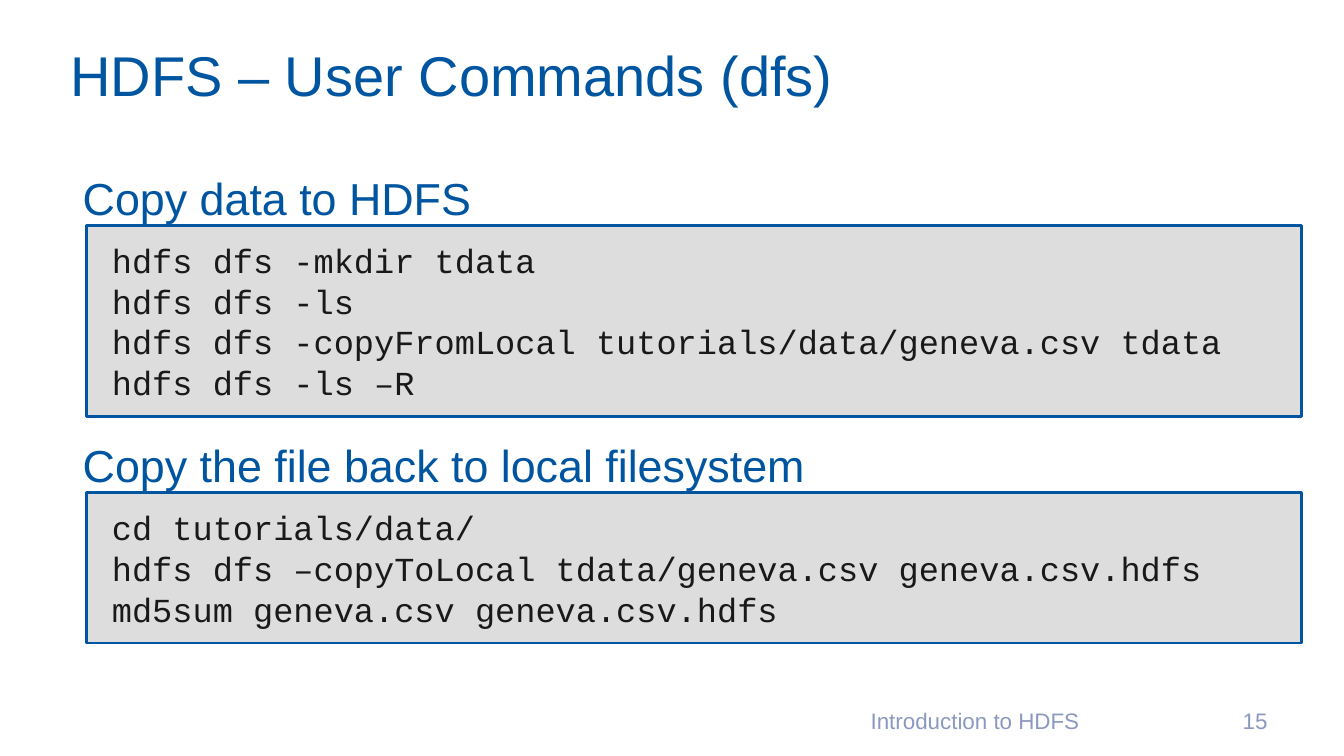
import pptx
import pptx.util
import pptx.dml.color
import pptx.enum.shapes
import pptx.enum.text

Inches = pptx.util.Inches
Pt = pptx.util.Pt
RGBColor = pptx.dml.color.RGBColor
ALIGN = pptx.enum.text.PP_ALIGN
ANCHOR = pptx.enum.text.MSO_ANCHOR

BLUE = RGBColor(0x00, 0x55, 0xA0)
FOOTER_BLUE = RGBColor(0x8C, 0x99, 0xBE)
CODE_FILL = RGBColor(0xDD, 0xDD, 0xDD)
CODE_TEXT = RGBColor(0x19, 0x19, 0x19)

HEADING_HEIGHT = 0.55
CODE_LINE_HEIGHT = 0.403
CODE_INSET_X, CODE_INSET_Y = 0.25, 0.14

SECTIONS = [
    (1.69, "Copy data to HDFS", [
        "hdfs dfs -mkdir tdata",
        "hdfs dfs -ls",
        "hdfs dfs -copyFromLocal tutorials/data/geneva.csv tdata",
        "hdfs dfs -ls –R",
    ]),
    (4.34, "Copy the file back to local filesystem", [
        "cd tutorials/data/",
        "hdfs dfs –copyToLocal tdata/geneva.csv geneva.csv.hdfs",
        "md5sum geneva.csv geneva.csv.hdfs",
    ]),
]


def write_lines(sp, lines, size, color, font="Arial", align=ALIGN.LEFT,
                anchor=ANCHOR.TOP, inset_x=0.0, inset_y=0.0, spacing=None):
    tf = sp.text_frame
    tf.word_wrap = True
    tf.auto_size = pptx.enum.text.MSO_AUTO_SIZE.NONE
    tf.vertical_anchor = anchor
    tf.margin_left = tf.margin_right = Inches(inset_x)
    tf.margin_top = tf.margin_bottom = Inches(inset_y)
    for i, line in enumerate(lines):
        p = tf.paragraphs[0] if i == 0 else tf.add_paragraph()
        p.alignment = align
        if spacing:
            p.line_spacing = spacing
        r = p.add_run()
        r.text = line
        r.font.name = font
        r.font.size = Pt(size)
        r.font.color.rgb = color


def add_title(s, x, y, w, h):
    sp = s.shapes.title
    sp.left, sp.top, sp.width, sp.height = map(Inches, (x, y, w, h))
    write_lines(sp, ["HDFS – User Commands (dfs)"], 40, BLUE,
                anchor=ANCHOR.MIDDLE, inset_x=0.05, inset_y=0.05)


def add_section(s, x, y, w, heading, commands):
    # Heading, flush above its code
    sp = s.shapes.add_textbox(Inches(x - 0.04), Inches(y),
                              Inches(w), Inches(HEADING_HEIGHT))
    write_lines(sp, [heading], 32, BLUE)

    # Code box, as tall as its commands
    height = len(commands) * CODE_LINE_HEIGHT + 2 * CODE_INSET_Y
    sp = s.shapes.add_shape(pptx.enum.shapes.MSO_SHAPE.RECTANGLE,
                            Inches(x), Inches(y + HEADING_HEIGHT),
                            Inches(w), Inches(height))
    sp.shadow.inherit = False
    sp.fill.solid()
    sp.fill.fore_color.rgb = CODE_FILL
    sp.line.color.rgb = BLUE
    sp.line.width = Pt(2)
    write_lines(sp, commands, 24, CODE_TEXT, font="Courier New",
                inset_x=CODE_INSET_X, inset_y=CODE_INSET_Y, spacing=Pt(29))


def add_footer(s, y, h):
    for x, w, text, align in [(7.56, 4.22, "Introduction to HDFS", ALIGN.CENTER),
                              (11.94, 0.73, "15", ALIGN.RIGHT)]:
        sp = s.shapes.add_textbox(Inches(x), Inches(y), Inches(w), Inches(h))
        write_lines(sp, [text], 16, FOOTER_BLUE, align=align,
                    anchor=ANCHOR.MIDDLE, inset_x=0.1, inset_y=0.05)


def main():
    prs = pptx.Presentation()
    prs.slide_width, prs.slide_height = Inches(13.33), Inches(7.5)
    s = prs.slides.add_slide(prs.slide_layouts[5])
    add_title(s, 0.65, 0.22, 12, 1.03)
    for y, heading, commands in SECTIONS:
        add_section(s, 0.86, y, 12.05, heading, commands)
    add_footer(s, 6.95, 0.4)
    prs.save("out.pptx")


if __name__ == "__main__":
    main()
